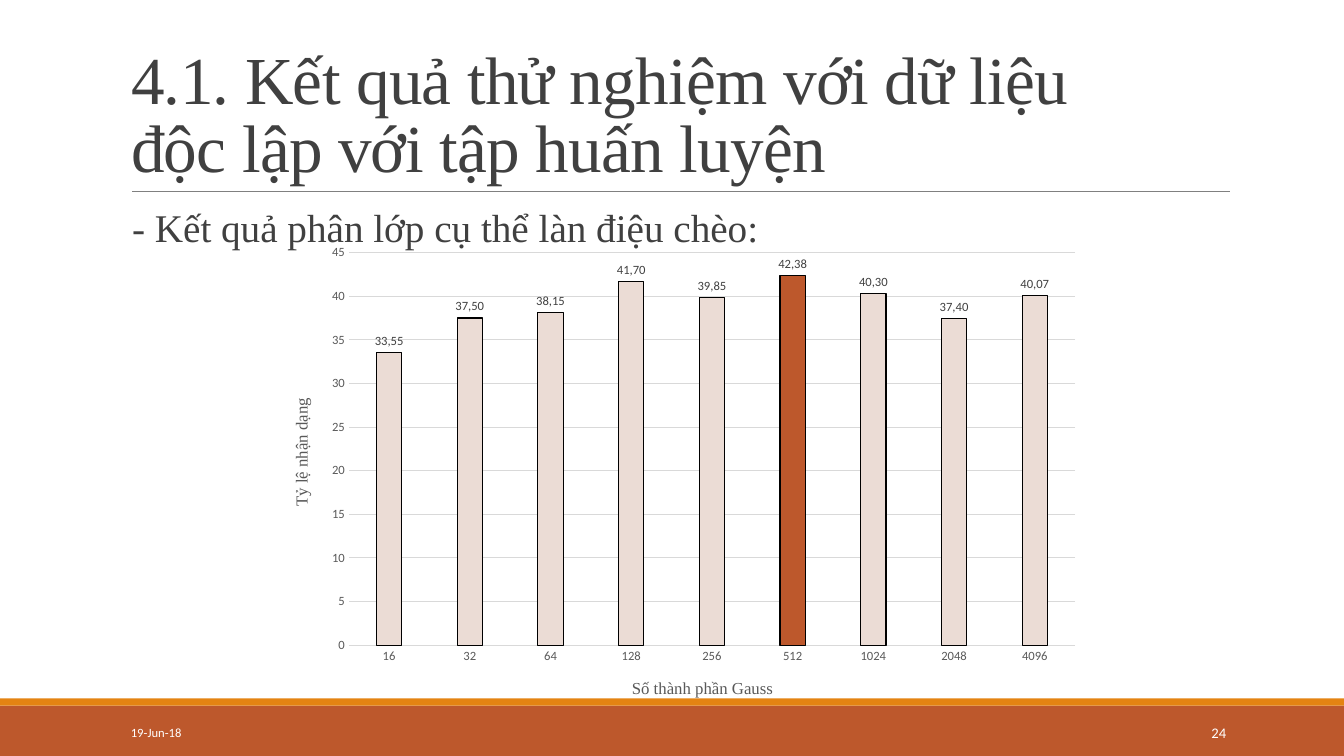
from dataclasses import dataclass
from lxml import etree
from pptx import Presentation
from pptx import util as u
from pptx.chart import data
from pptx.dml import color
from pptx.enum import chart as kinds
from pptx.enum import shapes, text
from pptx.oxml import ns


@dataclass(frozen=True)
class Theme:
    serif: str = "Times New Roman"
    sans: str = "Calibri"
    ink: str = "404040"
    soft: str = "595959"
    rule: str = "808080"
    grid: str = "D9D9D9"
    pale: str = "EBDCD5"
    rust: str = "BD582C"
    gold: str = "E48312"
    white: str = "FFFFFF"
    black: str = "000000"
    title: float = 48
    lead: float = 28
    axis: float = 12
    page: float = 10.5
    small: float = 9


T = Theme()
WIDE, HIGH = 133.3, 75
UNIT = u.Inches(0.1)
RATES = {"16": 33.55, "32": 37.5, "64": 38.15, "128": 41.7, "256": 39.85,
         "512": 42.38, "1024": 40.3, "2048": 37.4, "4096": 40.07}


def cells(*nums):
    return [round(n * UNIT) for n in nums]


def place(item, box):
    item.left, item.top, item.width, item.height = cells(*box)


def rgb(code):
    return color.RGBColor.from_string(code)


def style(font, size, tone, face):
    font.size, font.name, font.bold = u.Pt(size), face, False
    font.color.rgb = rgb(tone)


def write(frame, words, size=T.small, tone=T.white, face=T.sans,
          align=None, space=None, track=None):
    para = frame.paragraphs[0]
    para.alignment, para.line_spacing = align, space
    for i, line in enumerate(words.split("\n")):
        if i:
            para.add_line_break()
        run = para.add_run()
        run.text = line
        style(run.font, size, tone, face)
        if track:
            run.font._element.set("spc", str(track))
    return para


def stroke(line, tone, width):
    line.color.rgb, line.width = rgb(tone), u.Pt(width)


def bar(slide, box, tone):
    item = slide.shapes.add_shape(shapes.MSO_SHAPE.RECTANGLE, *cells(*box))
    item.shadow.inherit = False
    item.fill.solid()
    item.fill.fore_color.rgb = rgb(tone)
    item.line.fill.background()


def label(slide, box, words, **form):
    frame = slide.shapes.add_textbox(*cells(*box)).text_frame
    frame.word_wrap = True
    frame.vertical_anchor = text.MSO_ANCHOR.MIDDLE
    write(frame, words, **form)


def head(slide, box, words):
    x, y, w, h = box
    title = slide.shapes.title
    place(title, box)
    frame = title.text_frame
    frame.auto_size = text.MSO_AUTO_SIZE.NONE
    frame.vertical_anchor = text.MSO_ANCHOR.BOTTOM
    write(frame, words, size=T.title, tone=T.ink, face=T.serif,
          align=text.PP_ALIGN.LEFT, space=0.85, track=-50)
    ends = cells(x + 1.1, y + h, x + w, y + h)
    line = slide.shapes.add_connector(shapes.MSO_CONNECTOR.STRAIGHT, *ends)
    stroke(line.line, T.rule, 0.5)
    etree.SubElement(line._element.spPr, ns.qn("a:effectLst"))


def lead(slide, box, words):
    body = slide.placeholders[1]
    place(body, box)
    frame = body.text_frame
    frame.auto_size = text.MSO_AUTO_SIZE.NONE
    frame.vertical_anchor = text.MSO_ANCHOR.TOP
    frame.margin_left = frame.margin_right = 0
    para = write(frame, words, size=T.lead, tone=T.ink, face=T.serif, space=0.9)
    para.space_before, para.space_after = u.Pt(0), u.Pt(2)
    props = para._p.get_or_add_pPr()
    props.set("marL", str(u.Inches(0.11)))
    props.set("indent", "0")
    etree.SubElement(props, ns.qn("a:buNone"))


def fix(owner, **parts):
    lay = owner.find(ns.qn("c:layout"))
    if lay is None:
        lay = etree.Element(ns.qn("c:layout"))
        owner.insert(0, lay)
    hand = etree.SubElement(lay, ns.qn("c:manualLayout"))
    for key, val in parts.items():
        etree.SubElement(hand, ns.qn("c:" + key)).set("val", str(val))


def name(axis, words, x, y, turn=0):
    title = axis.axis_title
    frame = title.text_frame
    write(frame, words, size=T.axis, tone=T.soft, face=T.serif)
    frame._txBody.bodyPr.set("rot", str(turn * 60000))
    fix(title._element, xMode="edge", yMode="edge", x=x, y=y)


def graph(slide, box, rates, best):
    feed = data.CategoryChartData(number_format="0.00")
    feed.categories = list(rates)
    feed.add_series("Series 1", [round(rate, 2) for rate in rates.values()])
    chart = slide.shapes.add_chart(
        kinds.XL_CHART_TYPE.COLUMN_CLUSTERED, *cells(*box), feed).chart
    chart.has_legend = chart.has_title = False
    style(chart.font, T.small, T.soft, T.sans)
    fix(chart._chartSpace.chart.plotArea, layoutTarget="inner", xMode="edge",
        yMode="edge", x=0.085, y=0.03, w=0.895, h=0.827)

    cat, val = chart.category_axis, chart.value_axis
    for axis in (cat, val):
        axis.major_tick_mark = axis.minor_tick_mark = kinds.XL_TICK_MARK.NONE
        style(axis.tick_labels.font, T.small, T.soft, T.sans)
    stroke(cat.format.line, T.grid, 0.75)
    val.format.line.fill.background()
    val.minimum_scale, val.maximum_scale, val.major_unit = 0, 45, 5
    val.tick_labels.number_format = "0"
    val.tick_labels.number_format_is_linked = False
    stroke(val.major_gridlines.format.line, T.grid, 0.75)
    name(cat, "Số thành phần Gauss", 0.43, 0.92)
    name(val, "Tỷ lệ nhận dạng", 0.01, 0.33, turn=-90)

    plot = chart.plots[0]
    plot.vary_by_categories = False
    plot.gap_width, plot.overlap = 219, -27
    row = plot.series[0]
    peak = row.points[list(rates).index(best)]
    for part, tone in ((row, T.pale), (peak, T.rust)):
        part.format.fill.solid()
        part.format.fill.fore_color.rgb = rgb(tone)
        stroke(part.format.line, T.black, 0.75)
    tags = row.data_labels
    tags.show_value = True
    tags.number_format, tags.number_format_is_linked = "0.00", False
    tags.position = kinds.XL_LABEL_POSITION.OUTSIDE_END
    style(tags.font, T.small, T.ink, T.sans)
    for i, rate in enumerate(rates.values()):
        tag = row.points[i].data_label
        write(tag.text_frame, f"{rate:.2f}".replace(".", ","), tone=T.ink)
        tag.position = kinds.XL_LABEL_POSITION.OUTSIDE_END


def foot(slide, box, date, page):
    x, y, w, h = box
    bar(slide, (x, y + 0.7, w, h - 0.7), T.rust)
    bar(slide, (x, y, w, 0.7), T.gold)
    label(slide, (x + 12, y + 1.35, 27, 4), date)
    label(slide, (x + w - 25, y + 1.35, 14.3, 4), page, size=T.page,
          align=text.PP_ALIGN.RIGHT)


def main():
    deck = Presentation()
    deck.slide_width, deck.slide_height = cells(WIDE, HIGH)
    slide = deck.slides.add_slide(deck.slide_layouts[1])
    foot(slide, (0, 69.3, WIDE, 5.7), "19-Jun-18", "24")
    head(slide, (12, 3.1, 110, 15.9),
         "4.1. Kết quả thử nghiệm với dữ liệu\nđộc lập với tập huấn luyện")
    lead(slide, (12, 20.2, 110, 44), "- Kết quả phân lớp cụ thể làn điệu chèo:")
    graph(slide, (27.75, 23.65, 80.5, 47.1), RATES, "512")
    deck.save("out.pptx")


if __name__ == "__main__":
    main()
